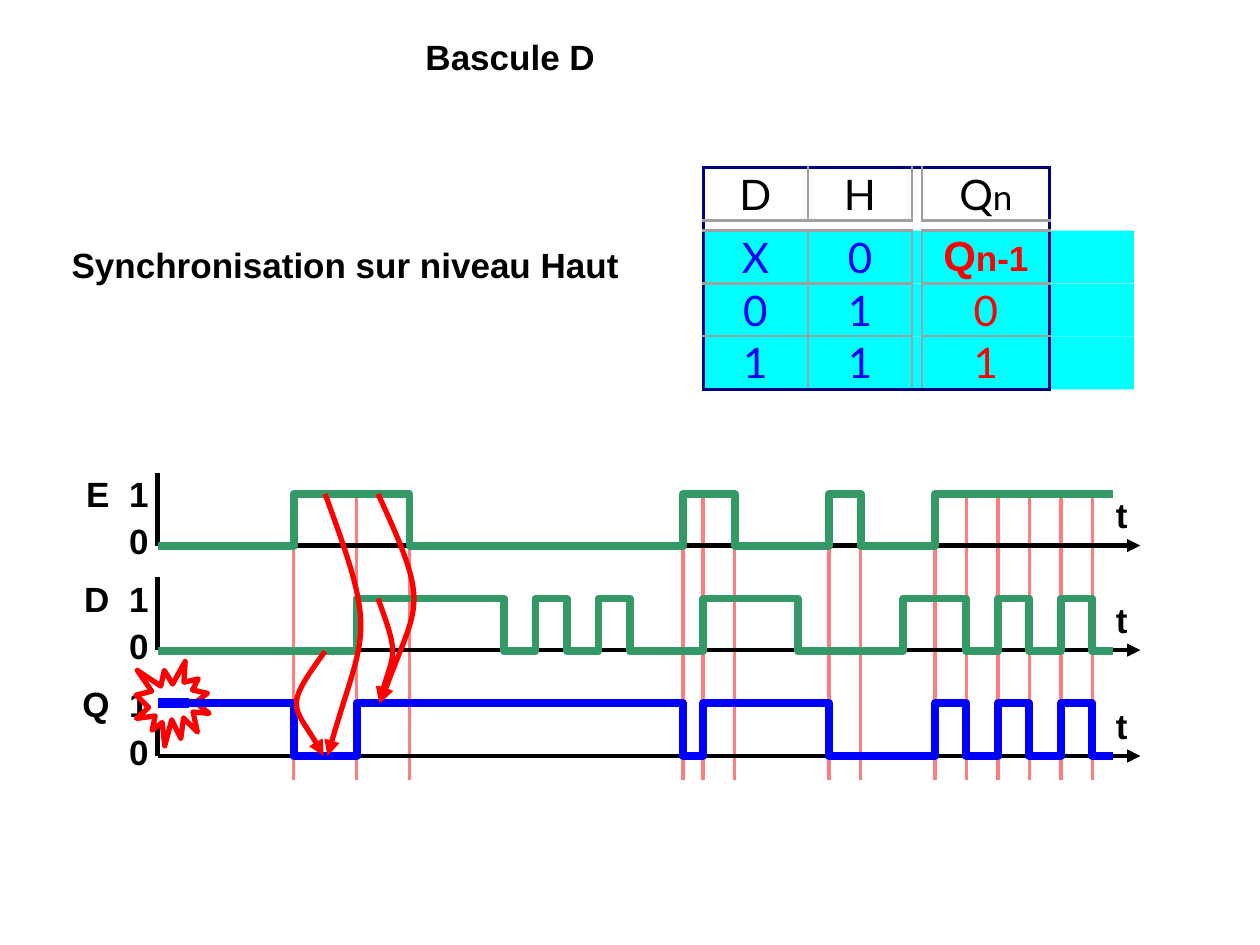
from pptx import Presentation
from pptx.dml.color import RGBColor
from pptx.enum.shapes import MSO_CONNECTOR, MSO_SHAPE
from pptx.enum.text import MSO_ANCHOR, MSO_AUTO_SIZE, PP_ALIGN
from pptx.oxml.ns import qn
from pptx.util import Inches, Pt
from lxml.etree import SubElement

deck = Presentation()
deck.slide_width, deck.slide_height = Inches(10), Inches(7.5)
page = deck.slides.add_slide(deck.slide_layouts[6])
shapes = page.shapes


def style_line(shape, color, width, arrow=False):
    shape.line.color.rgb = RGBColor.from_string(color)
    shape.line.width = Pt(width)
    properties = shape.line._get_or_add_ln()
    if arrow:
        SubElement(properties, qn("a:tailEnd"), type="triangle")
    if hasattr(shape, "shadow"):
        shape.shadow.inherit = False
    else:
        SubElement(properties.getparent(), qn("a:effectLst"))


def add_label(text, left, top, width, height, align, margin=0, wrap=True):
    box = shapes.add_textbox(Inches(left), Inches(top), Inches(width), Inches(height))
    frame = box.text_frame
    frame.margin_left = frame.margin_right = Inches(margin)
    frame.margin_top = frame.margin_bottom = Inches(margin / 2)
    frame.word_wrap = wrap
    frame.auto_size = MSO_AUTO_SIZE.NONE if wrap else MSO_AUTO_SIZE.SHAPE_TO_FIT_TEXT
    frame.text = text
    for number, para in enumerate(frame.paragraphs):
        para.alignment = align
        para.space_before = Pt(3 if number else 0)
        for span in para.runs:
            span.font.name, span.font.size, span.font.bold = "Arial", Pt(20), True
            span.font.color.rgb = RGBColor.from_string("000000")


input_edges = [2.83, 5.58, 7.67, 7.92, 8.17, 8.42, 8.67]
clock_edges = [2.33, 3.25, 5.42, 5.83, 6.58, 6.83, 7.42]
for edges, top in ((clock_edges, 4.33), (input_edges, 3.92)):
    for x in edges:
        guide = shapes.add_connector(MSO_CONNECTOR.STRAIGHT, Inches(x), Inches(top), Inches(x), Inches(6.19))
        style_line(guide, "FF7C80", 2)

for top in (1.83, 2.25, 2.67):
    band = shapes.add_shape(MSO_SHAPE.RECTANGLE, Inches(5.58), Inches(top), Inches(3.42), Inches(0.42))
    band.shadow.inherit = False
    band.fill.solid()
    band.fill.fore_color.rgb = RGBColor.from_string("00FFFF")
    band.line.fill.background()

rows = [
    [["D"], ["H"], [], ["Q", "n"]],
    [[], [], [], []],
    [["X"], ["0"], [], ["Q", "n-1"]],
    [["0"], ["1"], [], ["0"]],
    [["1"], ["1"], [], ["1"]],
]
frame = shapes.add_table(5, 4, Inches(5.58), Inches(1.33), Inches(2.75), Inches(1.75))
table = frame.table
table.first_row = table.horz_banding = False
for column, width in zip(table.columns, (0.83, 0.83, 0.08, 1.01)):
    column.width = Inches(width)
for row, height in zip(table.rows, (0.42, 0.08, 0.42, 0.42, 0.42)):
    row.height = Inches(height)
for r, row in enumerate(rows):
    for c, parts in enumerate(row):
        cell = table.cell(r, c)
        cell.margin_left = cell.margin_right = cell.margin_top = cell.margin_bottom = 0
        cell.vertical_anchor = MSO_ANCHOR.MIDDLE
        para = cell.text_frame.paragraphs[0]
        para.alignment = PP_ALIGN.CENTER
        if not parts:
            SubElement(para._p, qn("a:endParaRPr"), sz="100")
        for number, part in enumerate(parts):
            span = para.add_run()
            span.text = part
            span.font.size = Pt(20 if number else 24)
            span.font.bold = part in ("n-1", "Q") and r == 2
            span.font.name = "Arial" if span.font.bold else "Lato"
            color = "000000" if r == 0 else "FF0000" if c == 3 else "0000FF"
            span.font.color.rgb = RGBColor.from_string(color)
        borders = cell._tc.get_or_add_tcPr()
        for side, outer, spacer in (("L", c == 0, r == 1), ("R", c == 3, r == 1),
                                    ("T", r == 0, c == 2), ("B", r == 4, c == 2)):
            border = SubElement(borders, qn(f"a:ln{side}"), w=str(Pt(2 if outer else 1.5)))
            if spacer and not outer:
                SubElement(border, qn("a:noFill"))
            else:
                fill = SubElement(border, qn("a:solidFill"))
                SubElement(fill, qn("a:srgbClr"), val="000080" if outer else "A0A0A0")
        cell.fill.background()

for name, top in (("D", 4.58), ("Q", 5.42), ("E", 3.75)):
    base = top + 0.58
    axis = shapes.add_connector(MSO_CONNECTOR.STRAIGHT, Inches(1.25), Inches(top), Inches(1.25), Inches(base))
    style_line(axis, "000000", 2.5)
    add_label(name, 0.33, top, 0.54, 0.33, PP_ALIGN.RIGHT)
    add_label("1\n0", 0.95, top, 0.23, 0.67, PP_ALIGN.RIGHT)
    axis = shapes.add_connector(MSO_CONNECTOR.STRAIGHT, Inches(1.25), Inches(base), Inches(9.05), Inches(base))
    style_line(axis, "000000", 2.5, arrow=True)
    add_label("t", 3.32, top + 0.17, 5.63, 0.42, PP_ALIGN.RIGHT)

burst = shapes.add_shape(MSO_SHAPE.EXPLOSION1, Inches(1.08), Inches(5.25), Inches(0.58), Inches(0.67))
burst.fill.solid()
burst.fill.fore_color.rgb = RGBColor.from_string("FFFFFF")
style_line(burst, "FF0000", 3)
initial = shapes.add_connector(MSO_CONNECTOR.STRAIGHT, Inches(1.25), Inches(5.58), Inches(1.5), Inches(5.58))
style_line(initial, "0000FF", 6)

waves = [
    (4.33, 3.92, "339966", clock_edges),
    (5.17, 4.75, "339966", [2.83, 4, 4.25, 4.5, 4.75, 5, 5.58, 6.33, 7.17, 7.67, 7.92, 8.17, 8.42, 8.67]),
    (5.58, 6, "0000FF", [2.33, 2.83, 5.42, 5.58, 6.58, 7.42, 7.67, 7.92, 8.17, 8.42, 8.67]),
]
for level, other, color, edges in waves:
    builder = shapes.build_freeform(Inches(1.25), Inches(level))
    points = []
    for x in edges:
        points.append((Inches(x), Inches(level)))
        level, other = other, level
        points.append((Inches(x), Inches(level)))
    points.append((Inches(8.83), Inches(level)))
    builder.add_line_segments(points, close=False)
    wave = builder.convert_to_shape()
    wave.fill.background()
    style_line(wave, color, 4.5)

curves = [
    [(2.58, 3.92), (3, 5.06), (2.89, 4.97), (2.6, 6)],
    [(2.58, 5.17), (2.25, 5.62), (2.34, 5.59), (2.57, 6)],
    [(3, 3.92), (3.42, 4.83), (3.31, 4.76), (3.02, 5.58)],
    [(3, 4.75), (3.17, 5.21), (3.12, 5.17), (3.01, 5.58)],
]
for curve in curves:
    start, *controls = [(Inches(x), Inches(y)) for x, y in curve]
    builder = shapes.build_freeform(*start)
    builder.add_line_segments(controls, close=False)
    arrow = builder.convert_to_shape()
    segments = list(arrow._element.iter(qn("a:lnTo")))
    bezier = SubElement(segments[0].getparent(), qn("a:cubicBezTo"))
    for segment in segments:
        bezier.append(segment[0])
        segment.getparent().remove(segment)
    arrow.fill.background()
    style_line(arrow, "FF0000", 3, arrow=True)

add_label("Bascule D", 3.23, 0.23, 1.64, 0.44, PP_ALIGN.CENTER, margin=0.1, wrap=False)
add_label("Synchronisation sur niveau Haut", 0.47, 1.88, 4.58, 0.44, PP_ALIGN.LEFT, margin=0.1, wrap=False)

deck.save("out.pptx")
